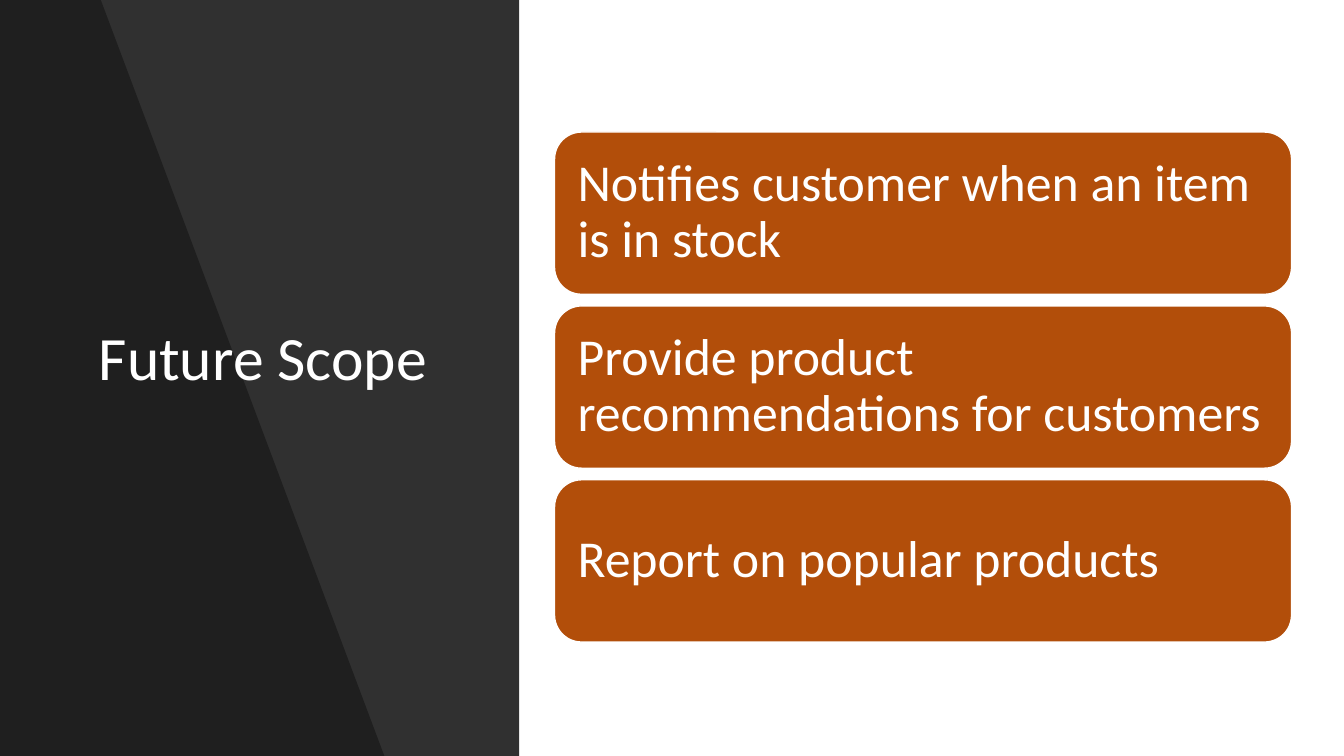
from dataclasses import dataclass

from lxml.etree import SubElement
from pptx import Presentation
from pptx.dml.color import RGBColor
from pptx.enum.shapes import MSO_SHAPE
from pptx.enum.text import MSO_ANCHOR, PP_ALIGN
from pptx.oxml.ns import qn
from pptx.util import Inches, Pt


@dataclass(frozen=True)
class Theme:
    font: str = "Calibri"
    title_size: int = 44
    card_size: int = 37
    panel: str = "000000"
    card: str = "B24E0A"
    light: str = "FFFFFF"


THEME = Theme()
SLIDE_HEIGHT = 7.5
CARD_LEFT, CARD_TOP = 5.5, 1.31
CARD_WIDTH, CARD_HEIGHT = 7.31, 1.61
CARD_STEP = 1.725
SCOPE_ITEMS = (
    "Notifies customer when an item is in stock",
    "Provide product recommendations for customers",
    "Report on popular products",
)


def fill_panel(shape, opacity):
    """Fill with the panel colour at the given opacity in percent, without outline."""
    shape.shadow.inherit = False
    shape.line.fill.background()
    shape.fill.solid()
    shape.fill.fore_color.rgb = RGBColor.from_string(THEME.panel)
    color = shape.fill._xPr.find(qn("a:solidFill"))[0]
    SubElement(color, qn("a:alpha"), val=str(opacity * 1000))


def write_text(frame, text, size):
    frame.word_wrap = True
    frame.vertical_anchor = MSO_ANCHOR.MIDDLE
    para = frame.paragraphs[0]
    para.alignment = PP_ALIGN.LEFT
    para.line_spacing = 0.9
    span = para.add_run()
    span.text = text
    span.font.name = THEME.font
    span.font.size = Pt(size)
    span.font.color.rgb = RGBColor.from_string(THEME.light)


def add_side_panel(page):
    panel = page.shapes.add_shape(
        MSO_SHAPE.RECTANGLE, 0, 0, Inches(5.15), Inches(SLIDE_HEIGHT))
    fill_panel(panel, 81)
    outline = page.shapes.build_freeform(0, 0, scale=Inches(1))
    outline.add_line_segments(
        [(0.95, 0), (3.59, SLIDE_HEIGHT), (0, SLIDE_HEIGHT)], close=True)
    fill_panel(outline.convert_to_shape(), 35)


def add_title(page, text):
    title = page.shapes.title
    title.left, title.top = Inches(0.88), Inches(0.7)
    title.width, title.height = Inches(3.59), Inches(5.75)
    write_text(title.text_frame, text, THEME.title_size)
    # Bring the title in front of the side panel
    page.shapes._spTree.append(title._element)


def add_card(page, top, text):
    card = page.shapes.add_shape(
        MSO_SHAPE.ROUNDED_RECTANGLE, Inches(CARD_LEFT), Inches(top),
        Inches(CARD_WIDTH), Inches(CARD_HEIGHT))
    card.shadow.inherit = False
    card.fill.solid()
    card.fill.fore_color.rgb = RGBColor.from_string(THEME.card)
    card.line.color.rgb = RGBColor.from_string(THEME.light)
    card.line.width = Pt(1)
    frame = card.text_frame
    frame.margin_left = frame.margin_right = Inches(0.15)
    frame.margin_top = frame.margin_bottom = Inches(0.15)
    write_text(frame, text, THEME.card_size)


def main():
    deck = Presentation()
    deck.slide_width, deck.slide_height = Inches(13.33), Inches(SLIDE_HEIGHT)
    page = deck.slides.add_slide(deck.slide_layouts[5])
    add_side_panel(page)
    add_title(page, "Future Scope")
    for index, item in enumerate(SCOPE_ITEMS):
        add_card(page, CARD_TOP + index * CARD_STEP, item)
    deck.save("out.pptx")


if __name__ == "__main__":
    main()
